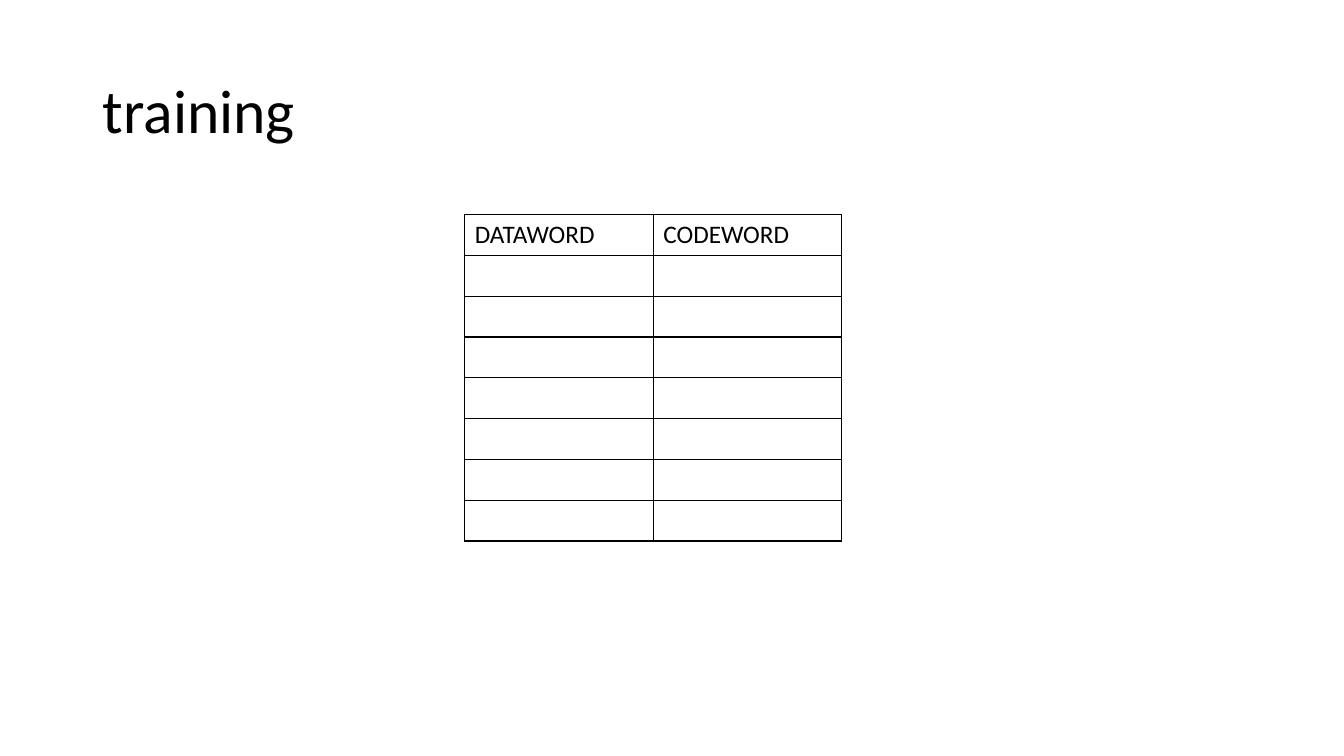
from dataclasses import dataclass

from lxml.etree import SubElement
from pptx import Presentation
from pptx.dml.color import RGBColor
from pptx.enum.text import MSO_ANCHOR
from pptx.oxml.ns import qn
from pptx.slide import Slide
from pptx.table import _Cell
from pptx.text.text import TextFrame
from pptx.util import Inches, Pt

FONT = "Calibri"
INK = "000000"
SIDES = ("a:lnL", "a:lnR", "a:lnT", "a:lnB")


@dataclass
class Column:
    head: str
    width: float


COLUMNS = [Column("DATAWORD", 1.87), Column("CODEWORD", 1.87)]
ROWS = 8
HEIGHT = 3.24


def color(code: str) -> RGBColor:
    return RGBColor.from_string(code)


def write(frame: TextFrame, text: str, *, size: float, ink: str = INK,
          space: float = 1.0) -> None:
    line = frame.paragraphs[0]
    line.line_spacing = space
    run = line.add_run()
    run.text = text
    run.font.name = FONT
    run.font.size = Pt(size)
    run.font.color.rgb = color(ink)


def border(cell: _Cell, ink: str = INK, width: float = 1) -> None:
    props = cell._tc.get_or_add_tcPr()
    for side in SIDES:
        edge = SubElement(props, qn(side), w=str(Pt(width)))
        fill = SubElement(edge, qn("a:solidFill"))
        SubElement(fill, qn("a:srgbClr"), val=ink)


def add_title(slide: Slide, text: str) -> None:
    box = slide.shapes.add_textbox(Inches(0.92), Inches(0.4), Inches(11.5), Inches(1.45))
    frame = box.text_frame
    frame.word_wrap = True
    frame.vertical_anchor = MSO_ANCHOR.MIDDLE
    write(frame, text, size=44, space=0.9)


def add_grid(slide: Slide, columns: list[Column]) -> None:
    width = sum(column.width for column in columns)
    table = slide.shapes.add_table(ROWS, len(columns), Inches(4.61), Inches(2.13),
                                   Inches(width), Inches(HEIGHT)).table
    table.first_row = False
    table.horz_banding = False
    for index, column in enumerate(columns):
        table.columns[index].width = Inches(column.width)
        write(table.cell(0, index).text_frame, column.head, size=18)
    for cell in table.iter_cells():
        border(cell)
        cell.fill.background()


def main() -> None:
    deck = Presentation()
    deck.slide_width = Inches(13.33)
    deck.slide_height = Inches(7.5)
    slide = deck.slides.add_slide(deck.slide_layouts[6])
    add_title(slide, "training")
    add_grid(slide, COLUMNS)
    deck.save("out.pptx")


if __name__ == "__main__":
    main()
